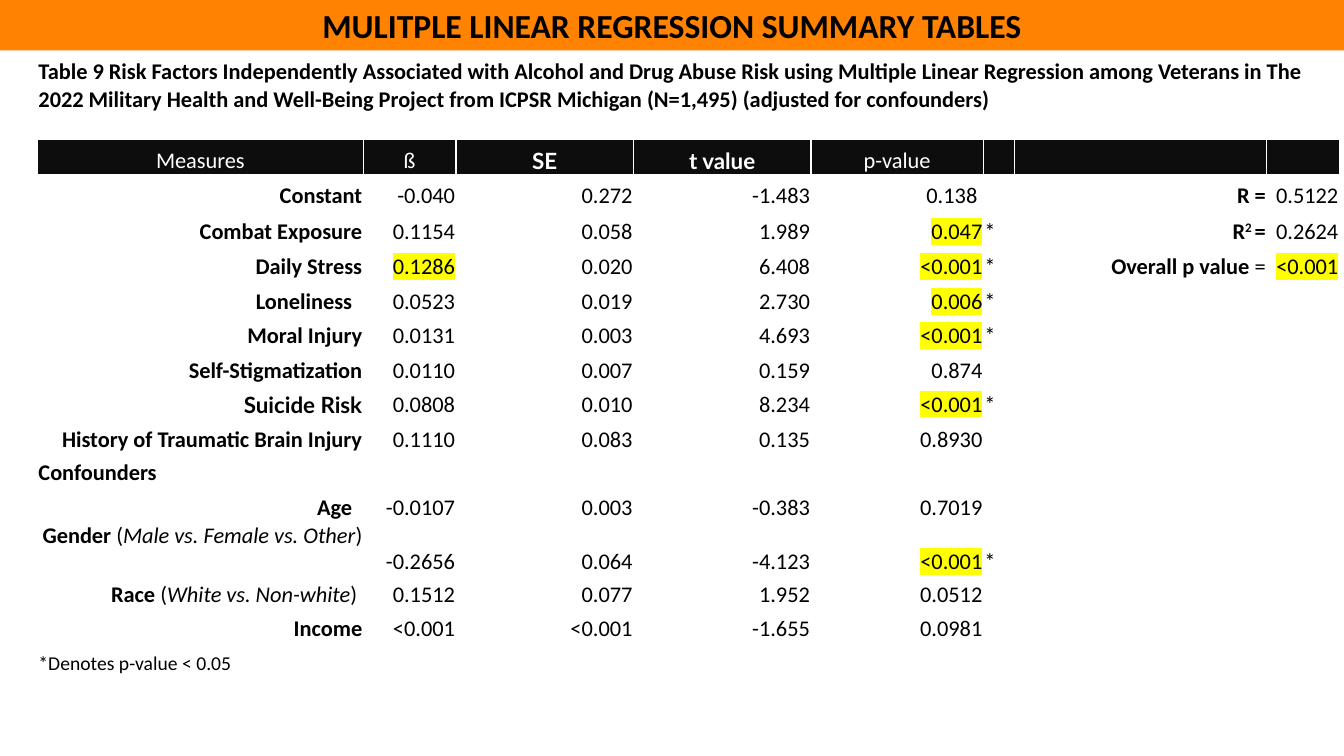
from lxml import etree
from pptx import Presentation
from pptx.dml.color import RGBColor
from pptx.enum.shapes import MSO_SHAPE
from pptx.enum.text import MSO_ANCHOR, PP_ALIGN
from pptx.oxml.ns import qn
from pptx.util import Pt

RECTANGLE = MSO_SHAPE.RECTANGLE
TOP, MIDDLE, BOTTOM = MSO_ANCHOR.TOP, MSO_ANCHOR.MIDDLE, MSO_ANCHOR.BOTTOM
LEFT, CENTER, RIGHT = PP_ALIGN.LEFT, PP_ALIGN.CENTER, PP_ALIGN.RIGHT

ORANGE = RGBColor(0xFF, 0x83, 0x00)
BLACK = RGBColor(0, 0, 0)
WHITE = RGBColor(0xFF, 0xFF, 0xFF)
HEADER_FILL = RGBColor(0x0D, 0x0D, 0x0D)
YELLOW = RGBColor(0xFF, 0xFF, 0x00)

BODY_FONT, ACCENT_FONT = "Calibri", "Lato"
SPACE = 3.6  # width of one space at 16 pt

CAPTION = (
    "Table 9 Risk Factors Independently Associated with Alcohol and Drug Abuse "
    "Risk using Multiple Linear Regression among Veterans in The 2022 Military "
    "Health and Well-Being Project from ICPSR Michigan (N=1,495) "
    "(adjusted for confounders)"
)
HEADINGS = ["Measures", "ß", "SE", "t value", "p-value", "", "", ""]
ACCENTED = {"SE", "t value", "Suicide Risk"}

# Measure, categories, ß, SE, t value, p-value, significant
MEASURES = [
    ("Constant", "", "-0.040", "0.272", "-1.483", "0.138", False),
    ("Combat Exposure", "", "0.1154", "0.058", "1.989", "0.047", True),
    ("Daily Stress", "", "0.1286", "0.020", "6.408", "<0.001", True),
    ("Loneliness", "", "0.0523", "0.019", "2.730", "0.006", True),
    ("Moral Injury", "", "0.0131", "0.003", "4.693", "<0.001", True),
    ("Self-Stigmatization", "", "0.0110", "0.007", "0.159", "0.874", False),
    ("Suicide Risk", "", "0.0808", "0.010", "8.234", "<0.001", True),
    ("History of Traumatic Brain Injury", "", "0.1110", "0.083", "0.135", "0.8930", False),
    ("Confounders", "", "", "", "", "", False),
    ("Age", "", "-0.0107", "0.003", "-0.383", "0.7019", False),
    ("Gender", "Male vs. Female vs. Other", "-0.2656", "0.064", "-4.123", "<0.001", True),
    ("Race", "White vs. Non-white", "0.1512", "0.077", "1.952", "0.0512", False),
    ("Income", "", "<0.001", "<0.001", "-1.655", "0.0981", False),
]
STRONGEST_BETA = "0.1286"
RIGHT_GAPS = {"Loneliness": 2 * SPACE, "Age": 2 * SPACE, "Race": SPACE, "0.138": SPACE}

# Label runs (text, format), value, highlight of the value
MODEL_FIT = [
    ([("R =", {"bold": True})], "0.5122", None),
    ([("R", {"bold": True}), ("2 ", {"bold": True, "baseline": 30}),
      ("=", {"bold": True})], "0.2624", None),
    ([("Overall p value ", {"bold": True}), ("=", {})], "<0.001", YELLOW),
]

COLUMN_SHARES = [3.23, 0.92, 1.76, 1.76, 1.71, 0.31, 2.5, 0.72]
ROW_HEIGHTS = [58.5, 25.2, 25.2, 25.2, 25.2, 25.2, 24, 25.2, 24, 25.2, 24, 24.5,
               38.5, 24, 24, 24, 42.5]


def write(paragraph, text, size=16, font=BODY_FONT, color=BLACK, bold=False,
          italic=False, highlight=None, baseline=0):
    """Add one formatted run to a paragraph."""
    run = paragraph.add_run()
    run.text = text
    run.font.size, run.font.bold, run.font.italic = Pt(size), bold, italic
    run.font.color.rgb = color
    properties = run._r.get_or_add_rPr()
    if baseline:
        properties.set("baseline", str(baseline * 1000))
    if highlight is not None:
        mark = etree.SubElement(properties, qn("a:highlight"))
        etree.SubElement(mark, qn("a:srgbClr"), val=str(highlight))
    run.font.name = font


def style_cell(cell, fill):
    """Give a cell its margins, fill and thin white borders."""
    cell.margin_left = cell.margin_right = cell.margin_top = Pt(0.7)
    cell.margin_bottom = 0
    cell.vertical_anchor = BOTTOM
    properties = cell._tc.get_or_add_tcPr()
    for side in ("lnL", "lnR", "lnT", "lnB"):
        border = etree.SubElement(properties, qn("a:" + side), w=str(Pt(1)))
        paint = etree.SubElement(border, qn("a:solidFill"))
        etree.SubElement(paint, qn("a:srgbClr"), val=str(WHITE))
    cell.fill.solid()
    cell.fill.fore_color.rgb = fill


def fill_cell(cell, runs, align=RIGHT, gap=0):
    """Write (text, format) runs into a cell, with an extra gap at its right."""
    paragraph = cell.text_frame.paragraphs[0]
    paragraph.alignment = align
    cell.margin_right = Pt(0.7 + gap)
    for text, look in runs:
        write(paragraph, text, **look)


def add_title_bar(slide, left, top, width, height):
    bar = slide.shapes.add_shape(RECTANGLE, Pt(left), Pt(top), Pt(width), Pt(height))
    bar.shadow.inherit = False
    bar.fill.solid()
    bar.fill.fore_color.rgb = ORANGE
    bar.line.fill.background()
    frame = bar.text_frame
    frame.word_wrap = True
    frame.vertical_anchor = MIDDLE
    frame.paragraphs[0].alignment = CENTER
    write(frame.paragraphs[0], "MULITPLE LINEAR REGRESSION SUMMARY TABLES", size=24, bold=True)


def fill_measure(table, row, measure):
    name, categories, beta, error, t_value, p_value, significant = measure
    font = ACCENT_FONT if name in ACCENTED else BODY_FONT
    label = [(name, {"bold": True, "font": font})]
    if categories:
        label += [(" (", {}), (categories, {"italic": True}), (")", {})]
    fill_cell(table.cell(row, 0), label, LEFT if not beta else RIGHT, RIGHT_GAPS.get(name, 0))
    if name == "Gender":
        table.cell(row, 0).vertical_anchor = TOP
    for column, value in enumerate((beta, error, t_value, p_value), 1):
        if value:
            marked = value == STRONGEST_BETA or (column == 4 and significant)
            fill_cell(table.cell(row, column), [(value, {"highlight": YELLOW if marked else None})],
                      gap=RIGHT_GAPS.get(value, 0))
    if significant:
        fill_cell(table.cell(row, 5), [("*", {})], LEFT)


def add_regression_table(slide, left, top, width):
    rows, columns = len(ROW_HEIGHTS), len(COLUMN_SHARES)
    table = slide.shapes.add_table(rows, columns, Pt(left), Pt(top), Pt(width),
                                   Pt(sum(ROW_HEIGHTS))).table
    table.first_row = table.horz_banding = False
    for column, share in zip(table.columns, COLUMN_SHARES):
        column.width = Pt(round(width * share / sum(COLUMN_SHARES), 2))
    for index, height in enumerate(ROW_HEIGHTS):
        table.rows[index].height = Pt(height)
        for cell in table.rows[index].cells:
            style_cell(cell, HEADER_FILL if index == 1 else WHITE)

    # Caption and closing rows span the table
    for index in (0, rows - 1):
        table.cell(index, 0).merge(table.cell(index, columns - 1))
    fill_cell(table.cell(0, 0), [(CAPTION, {"bold": True})], LEFT)
    table.cell(0, 0).vertical_anchor = TOP

    # Headings
    for column, heading in enumerate(HEADINGS):
        if heading:
            accented = heading in ACCENTED
            look = {"color": WHITE, "bold": accented,
                    "font": ACCENT_FONT if accented else BODY_FONT}
            fill_cell(table.cell(1, column), [(heading, look)], CENTER)

    # Coefficients, model fit and footnote
    for row, measure in enumerate(MEASURES, 2):
        fill_measure(table, row, measure)
    for row, (label, value, highlight) in enumerate(MODEL_FIT, 2):
        fill_cell(table.cell(row, 6), label)
        fill_cell(table.cell(row, 7), [(value, {"highlight": highlight})])
    fill_cell(table.cell(rows - 2, 0), [("*Denotes p-value < 0.05", {"size": 14})], LEFT)


def main():
    deck = Presentation()
    deck.slide_width, deck.slide_height = Pt(960), Pt(540)
    slide = deck.slides.add_slide(deck.slide_layouts[6])
    add_title_bar(slide, 0, 0, 960, 36)
    add_regression_table(slide, 26.8, 41, 930)
    deck.save("out.pptx")


if __name__ == "__main__":
    main()
